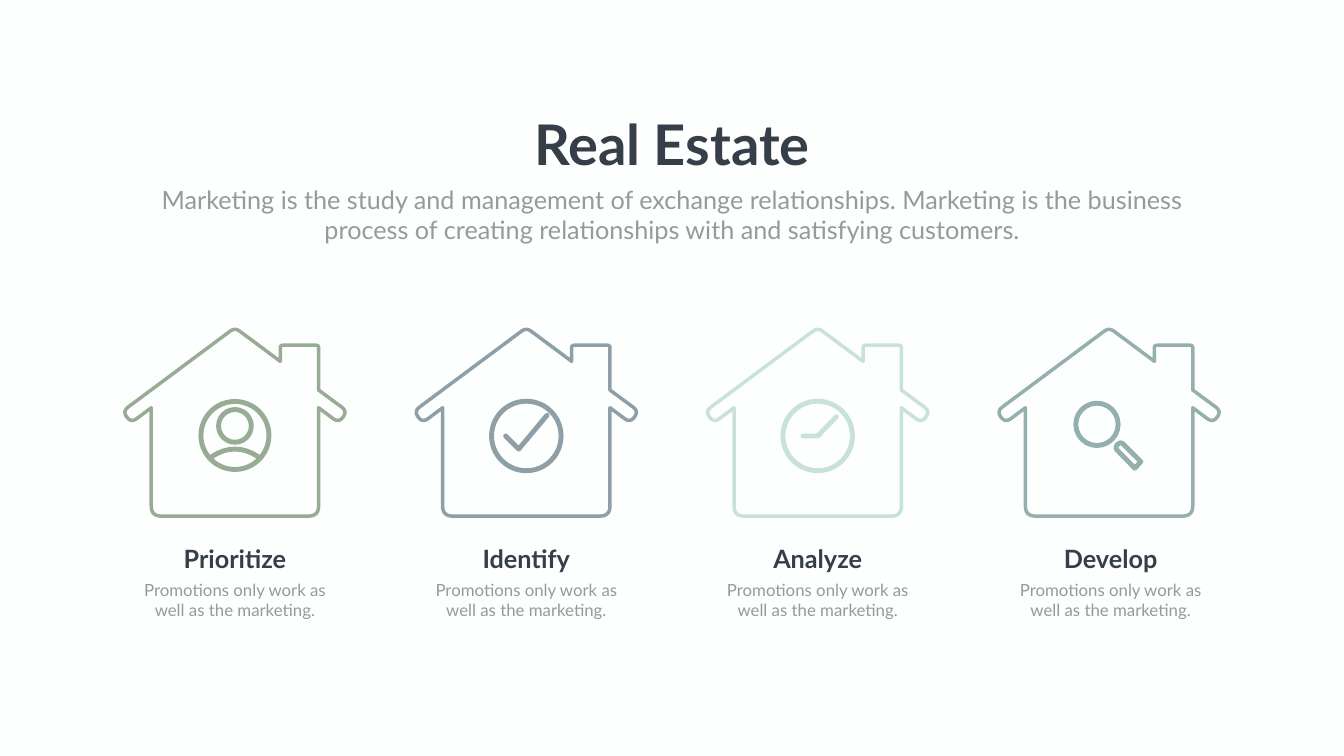
from math import hypot
from pptx import Presentation
from pptx.dml.color import RGBColor
from pptx.enum.shapes import MSO_SHAPE
from pptx.enum.text import MSO_AUTO_SIZE, PP_ALIGN
from pptx.oxml.ns import qn
from pptx.util import Pt

PX = 9144  # EMU per px, 100 px to the inch
WIDE, HIGH = 2666, 1500
FIRST, PITCH = 466, 578  # centre of first house, step to the next

PAPER = RGBColor(0xFD, 0xFF, 0xFE)
INK = RGBColor(0x35, 0x3E, 0x49)
GREY = RGBColor(0x98, 0x9A, 0x98)
SAGE = RGBColor(0x98, 0xAB, 0x94)
SLATE = RGBColor(0x8F, 0x9F, 0xA8)
MINT = RGBColor(0xC8, 0xE2, 0xD9)
TEAL = RGBColor(0x94, 0xAF, 0xAD)

TITLE = "Real Estate"
INTRO = ("Marketing is the study and management of exchange relationships. "
         "Marketing is the business process of creating relationships with "
         "and satisfying customers.")
NOTE = "Promotions only work as well as the marketing."

# Corners are (x from house centre, y, length rounded off)
HOUSE = [(0, 650, 12), (90, 717, 0), (90, 685, 5), (166, 685, 5),
         (166, 774, 0), (223, 816, 14), (206, 839, 14), (166, 809, 0),
         (166, 1024, 20), (-166, 1024, 20), (-166, 809, 0),
         (-206, 839, 14), (-223, 816, 14)]

# Rings are (x, y, diameter); strokes are (corners, closed)
PERSON = {"rings": [(0, 864, 135), (0, 845, 65)],
          "strokes": [([(-46, 906, 0), (0, 876, 55), (46, 906, 0)], False)]}
CHECK = {"rings": [(0, 865, 138)],
         "strokes": [([(-41, 865, 0), (-15, 891, 0), (41, 824, 0)], False)]}
CLOCK = {"rings": [(0, 865, 138)],
         "strokes": [([(-29, 865, 0), (0, 865, 0), (37, 827, 0)], False)]}
LENS = {"rings": [(-24, 842, 84)],
        "strokes": [([(51, 929, 0), (63, 916, 0), (23, 876, 8),
                      (11, 888, 8)], True)]}

# Name, colour, icon, centre of the text
STEPS = [("Prioritize", SAGE, PERSON, 466),
         ("Identify", SLATE, CHECK, 1044),
         ("Analyze", MINT, CLOCK, 1622),
         ("Develop", TEAL, LENS, 2203)]

HEAD = {"name": "Lato", "bold": True}
BODY = {"name": "Lato", "bold": False}

deck = Presentation()
deck.slide_width, deck.slide_height = WIDE * PX, HIGH * PX
slide = deck.slides.add_slide(deck.slide_layouts[6])
slide.background.fill.solid()
slide.background.fill.fore_color.rgb = PAPER
shapes = slide.shapes


def toward(spot, goal, dist):
    """Point at dist from spot on the way to goal."""
    dx, dy = goal[0] - spot[0], goal[1] - spot[1]
    part = min(1, dist / hypot(dx, dy))
    return spot[0] + dx * part, spot[1] + dy * part


def soften(corners, steps=8):
    """Replace each rounded corner with points on a curve."""
    points = []
    for i, (x, y, trim) in enumerate(corners):
        if not trim:
            points.append((x, y))
            continue
        ax, ay = toward((x, y), corners[i - 1], trim)
        bx, by = toward((x, y), corners[(i + 1) % len(corners)], trim)
        for k in range(steps + 1):
            t = k / steps
            u = 1 - t
            points.append((u * u * ax + 2 * u * t * x + t * t * bx,
                           u * u * ay + 2 * u * t * y + t * t * by))
    return points


def ink(shape, color, width):
    shape.shadow.inherit = False
    shape.fill.background()
    shape.line.color.rgb = color
    shape.line.width = Pt(width)
    shape._element.spPr.find(qn("a:ln")).set("cap", "rnd")


def trace(corners, mid, color, width, closed=True):
    points = [(round((mid + x) * PX), round(y * PX))
              for x, y in soften(corners)]
    pen = shapes.build_freeform(*points[0], scale=1.0)
    pen.add_line_segments(points[1:], close=closed)
    ink(pen.convert_to_shape(), color, width)


def ring(x, y, size, color):
    box = (x - size / 2, y - size / 2, size, size)
    shape = shapes.add_shape(MSO_SHAPE.OVAL, *(round(v * PX) for v in box))
    ink(shape, color, 7)


def write(text, mid, top, wide, high, size, color, style, wrap=True):
    box = shapes.add_textbox(round((mid - wide / 2) * PX), top * PX,
                             wide * PX, high * PX)
    frame = box.text_frame
    frame.word_wrap = wrap
    frame.auto_size = MSO_AUTO_SIZE.SHAPE_TO_FIT_TEXT
    para = frame.paragraphs[0]
    para.alignment = PP_ALIGN.CENTER
    run = para.add_run()
    run.text = text
    run.font.color.rgb = color
    for key, value in {**style, "size": Pt(size)}.items():
        setattr(run.font, key, value)


# Heading
write(TITLE, WIDE / 2, 212, 582, 145, 80, INK, HEAD, wrap=False)
write(INTRO, WIDE / 2, 361, 2082, 131, 36, GREY, BODY)

# Houses with icons and captions
for i, (name, color, icon, center) in enumerate(STEPS):
    mid = FIRST + i * PITCH
    trace(HOUSE, mid, color, 5)
    for x, y, size in icon["rings"]:
        ring(mid + x, y, size, color)
    for corners, closed in icon["strokes"]:
        trace(corners, mid, color, 7, closed)
    write(name, center, 1074, 261, 71, 36, INK, HEAD)
    write(NOTE, center, 1145, 402, 91, 24, GREY, BODY)

deck.save("out.pptx")
